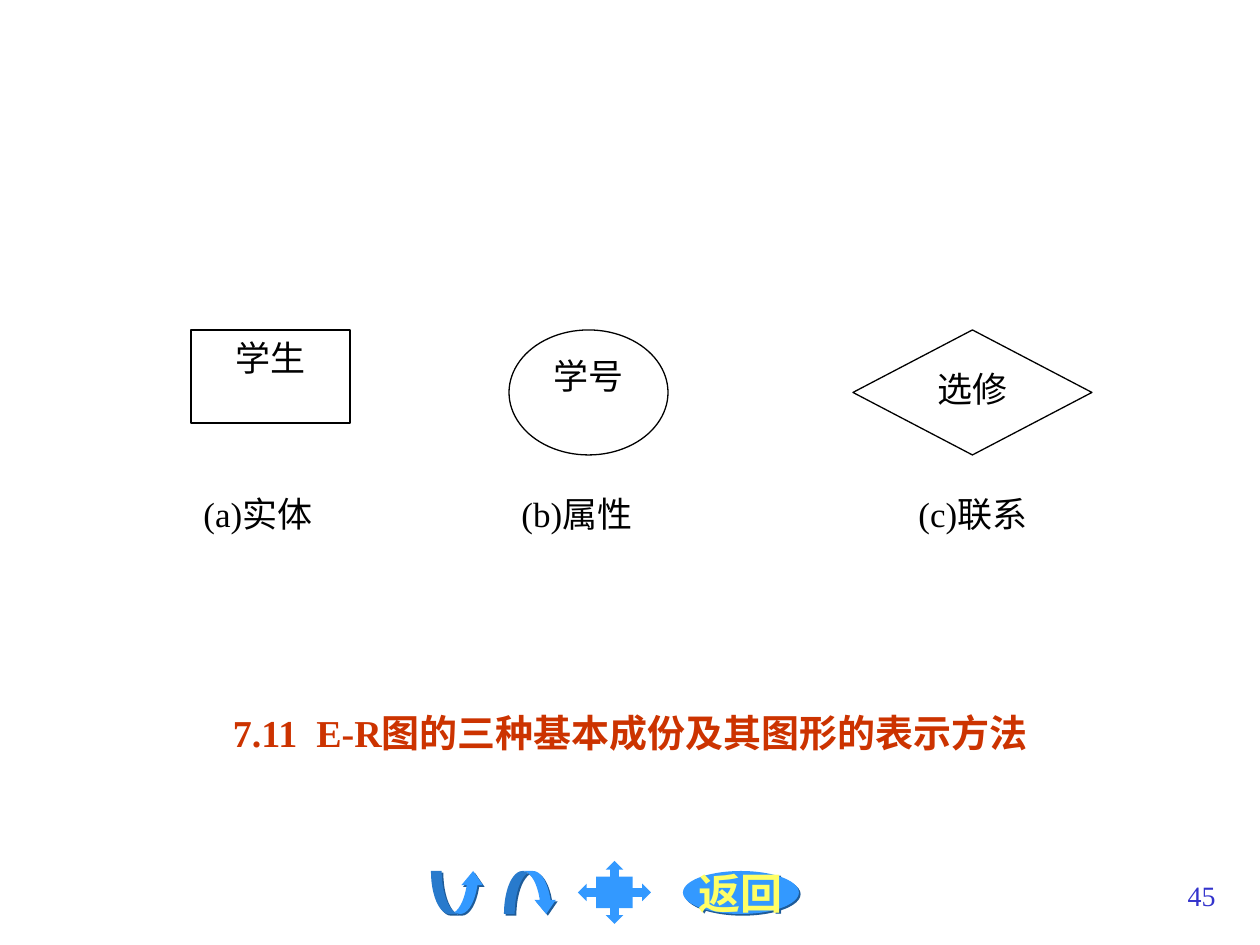
"""Builds a slide showing the three basic components of an E-R diagram."""
from lxml import etree
from pptx import Presentation
from pptx.dml.color import RGBColor
from pptx.enum.shapes import MSO_SHAPE
from pptx.enum.text import MSO_ANCHOR, PP_ALIGN
from pptx.oxml.ns import qn
from pptx.util import Emu, Pt

RECT, OVAL, DIAMOND = MSO_SHAPE.RECTANGLE, MSO_SHAPE.OVAL, MSO_SHAPE.DIAMOND
UP, DOWN = MSO_SHAPE.CURVED_UP_ARROW, MSO_SHAPE.CURVED_DOWN_ARROW
QUAD = MSO_SHAPE.QUAD_ARROW_CALLOUT
LEFT, CENTER, RIGHT = PP_ALIGN.LEFT, PP_ALIGN.CENTER, PP_ALIGN.RIGHT
TOP, MIDDLE = MSO_ANCHOR.TOP, MSO_ANCHOR.MIDDLE

COLORS = {"white": "FFFFFF", "black": "000000", "title": "CC3300",
          "nav": "3399FF", "shade": "1E5B98", "back": "FFFF66",
          "number": "3333CC"}
FONT = "Times New Roman"

SYMBOLS = [
    (RECT, (191, 330, 159, 93), "学生"),
    (OVAL, (509, 330, 159, 125), "学号"),
    (DIAMOND, (853, 330, 239, 125), "选修"),
]
CAPTIONS = [(191, "(a)实体"), (509, "(b)属性"), (906, "(c)联系")]
NAV = [
    (UP, (431, 871, 53, 43), (0.25, 0.5, 0.33), True),
    (DOWN, (504, 871, 53, 43), (0.25, 0.5, 0.33), True),
    (QUAD, (578, 861, 73, 63), (0.14, 0.14, 0.14, 0.5), False),
]


def px(n):
    """Turn pixels into EMU."""
    return Emu(round(n * 914400 / 126))


def rgb(name):
    """Look up a named colour."""
    return RGBColor.from_string(COLORS[name])


def write(s, text, size=20, color="black", bold=False, align=CENTER,
          anchor=TOP, wrap=True):
    """Put one formatted line of text in a shape."""
    tf = s.text_frame
    tf.word_wrap, tf.vertical_anchor = wrap, anchor
    p = tf.paragraphs[0]
    p.alignment = align
    r = p.add_run()
    r.text = text
    for key, value in {"name": FONT, "size": Pt(size), "bold": bold}.items():
        setattr(r.font, key, value)
    r.font.color.rgb = rgb(color)


def add_shape(slide, kind, box, fill, line=None):
    """Add a preset shape with a flat fill and an optional outline."""
    s = slide.shapes.add_shape(kind, *map(px, box))
    s.shadow.inherit = False
    s.fill.solid()
    s.fill.fore_color.rgb = rgb(fill)
    if line:
        s.line.color.rgb = rgb(line)
        s.line.width = Pt(0.75)
    else:
        s.line.fill.background()
    return s


def add_text(slide, box, text, **style):
    """Add a text box."""
    write(slide.shapes.add_textbox(*map(px, box)), text, **style)


def add_shadow(s):
    """Give a shape a hard shadow to the lower right."""
    effects = s._element.spPr.find(qn("a:effectLst"))
    shadow = etree.SubElement(effects, qn("a:outerShdw"), blurRad="0",
                              dist=str(Pt(1.4)), dir="2700000",
                              algn="ctr", rotWithShape="0")
    etree.SubElement(shadow, qn("a:srgbClr"), val=COLORS["shade"])


def add_nav(slide):
    """Add the row of navigation buttons."""
    for kind, box, adjustments, shadowed in NAV:
        s = add_shape(slide, kind, box, "nav")
        for i, value in enumerate(adjustments):
            s.adjustments[i] = value
        if shadowed:
            add_shadow(s)
    back = add_shape(slide, OVAL, (683, 871, 116, 43), "nav")
    add_shadow(back)
    write(back, "返回", size=24, color="back", bold=True, anchor=MIDDLE,
          wrap=False)


def main():
    """Build and save the slide."""
    prs = Presentation()
    prs.slide_width, prs.slide_height = px(1260), px(945)
    slide = prs.slides.add_slide(prs.slide_layouts[6])
    add_nav(slide)
    add_text(slide, (95, 703, 1071, 63),
             "7.11  E-R图的三种基本成份及其图形的表示方法",
             size=21.7, color="title", bold=True)
    for kind, box, text in SYMBOLS:
        write(add_shape(slide, kind, box, "white", "black"), text)
    for left, text in CAPTIONS:
        add_text(slide, (left, 486, 159, 93), text, align=LEFT)
    add_text(slide, (966, 872, 262, 63), "45", size=16, color="number",
             align=RIGHT)
    prs.save("out.pptx")


if __name__ == "__main__":
    main()
